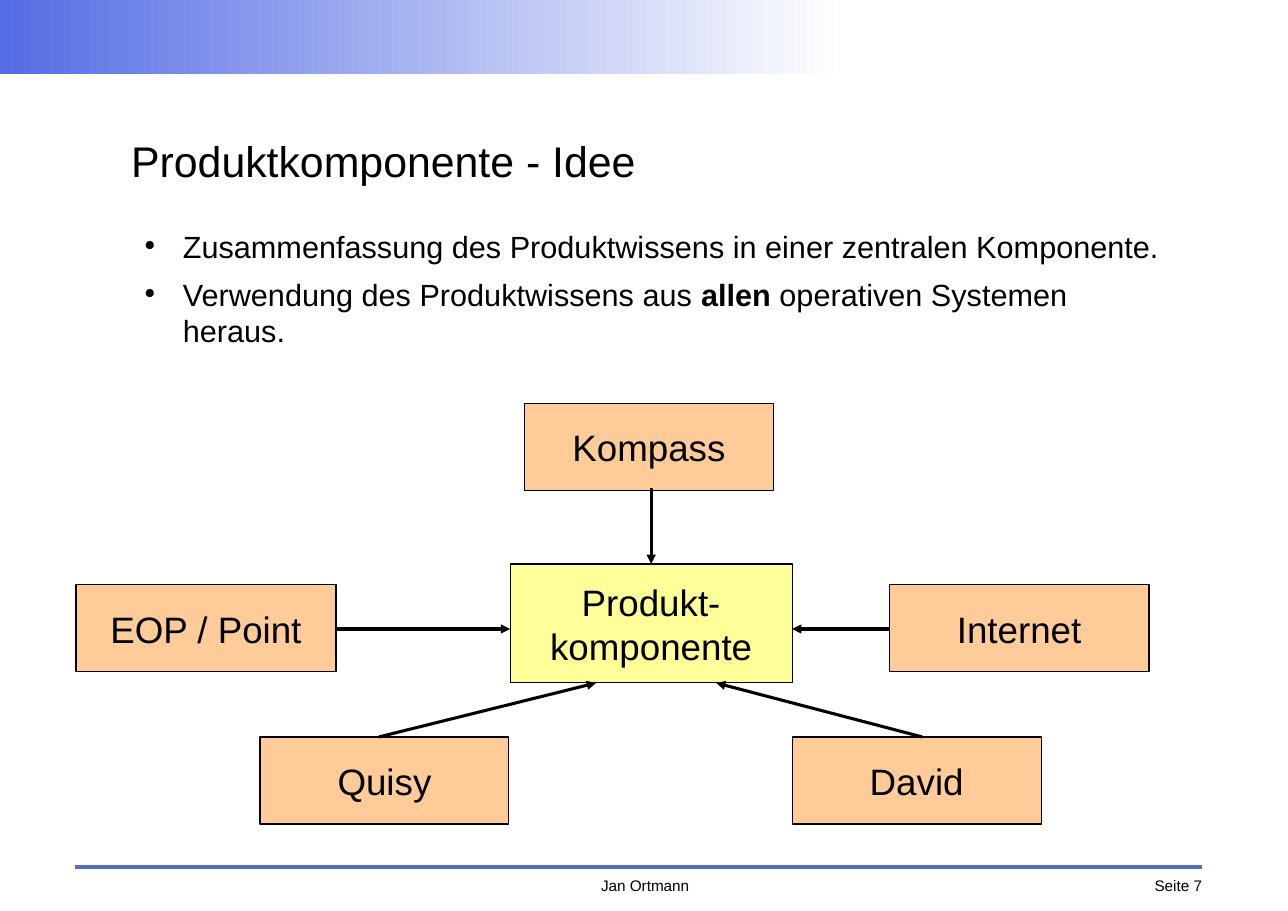
from lxml.etree import SubElement
from pptx import Presentation
from pptx.dml.color import RGBColor
from pptx.enum.shapes import MSO_CONNECTOR, MSO_SHAPE
from pptx.enum.text import MSO_ANCHOR, PP_ALIGN
from pptx.oxml.ns import qn
from pptx.util import Inches, Pt


def color(text):
    return RGBColor.from_string(text)


class Deck:
    """Holds the style and the current slide, and draws each kind of element."""

    font = "Arial"
    ink = "000000"
    blue = "556DE4"
    rule = "576BBF"
    peach = "FFCC99"
    lemon = "FFFF99"

    def __init__(self, wide, high):
        self.show = Presentation()
        self.show.slide_width = Inches(wide)
        self.show.slide_height = Inches(high)
        self.slide = self.show.slides.add_slide(self.show.slide_layouts[6])

    def label(self, frame, lines, size, align, anchor, dots=False):
        frame.word_wrap = True
        frame.vertical_anchor = anchor
        frame.margin_left = frame.margin_right = 0
        frame.margin_top = frame.margin_bottom = 0
        for index, line in enumerate(lines):
            para = frame.paragraphs[0] if index == 0 else frame.add_paragraph()
            para.alignment = align
            if dots:
                self.bullet(para)
            para.font.name = self.font
            para.font.size = Pt(size)
            para.font.color.rgb = color(self.ink)
            for turn, part in enumerate(line.split("*")):
                run = para.add_run()
                run.text = part
                if turn % 2:
                    run.font.bold = True

    def bullet(self, para):
        para.space_after = Pt(7.1)
        props = para._p.get_or_add_pPr()
        props.set("marL", str(Inches(0.47)))
        props.set("indent", str(Inches(-0.35)))
        tint = SubElement(props, qn("a:buClr"))
        SubElement(tint, qn("a:srgbClr"), val=self.ink)
        SubElement(props, qn("a:buSzPct"), val="45000")
        SubElement(props, qn("a:buChar"), char="●")

    def text(self, place, lines, size, align=PP_ALIGN.LEFT,
             anchor=MSO_ANCHOR.TOP, dots=False):
        box = self.slide.shapes.add_textbox(*map(Inches, place))
        self.label(box.text_frame, lines, size, align, anchor, dots)

    def rect(self, place):
        shape = self.slide.shapes.add_shape(MSO_SHAPE.RECTANGLE, *map(Inches, place))
        shape.shadow.inherit = False
        return shape

    def band(self, place):
        shape = self.rect(place)
        shape.line.fill.background()
        shape.fill.gradient()
        shape.fill.gradient_angle = 0
        for stop, tint in zip(shape.fill.gradient_stops, (self.blue, "FFFFFF")):
            stop.color.rgb = color(tint)

    def box(self, place, lines, fill):
        shape = self.rect(place)
        shape.fill.solid()
        shape.fill.fore_color.rgb = color(fill)
        shape.line.color.rgb = color(self.ink)
        shape.line.width = Pt(0)
        self.label(shape.text_frame, lines, 24, PP_ALIGN.CENTER, MSO_ANCHOR.MIDDLE)

    def line(self, ends, tint, width):
        line = self.slide.shapes.add_connector(MSO_CONNECTOR.STRAIGHT, *map(Inches, ends))
        line.line.color.rgb = color(tint)
        line.line.width = Pt(width)
        SubElement(line._element.spPr, qn("a:effectLst"))
        return line

    def arrow(self, ends):
        line = self.line(ends, self.ink, 0)
        stroke = line._element.spPr.find(qn("a:ln"))
        SubElement(stroke, qn("a:tailEnd"), type="triangle")


def main():
    deck = Deck(11.69, 8.27)
    deck.line((0.68, 7.87, 10.91, 7.87), deck.rule, 2.83)
    deck.text((9.78, 7.95, 1.13, 0.19), ["Seite 7"], 10, PP_ALIGN.RIGHT)
    deck.text((5.05, 7.95, 1.61, 0.2), ["Jan Ortmann"], 10, PP_ALIGN.CENTER)
    deck.band((0, 0, 7.67, 0.67))
    deck.text((1.19, 0.95, 9.31, 1.02), ["Produktkomponente - Idee"], 28,
              anchor=MSO_ANCHOR.MIDDLE)
    deck.text((1.19, 2.07, 9.44, 1.2), [
        "Zusammenfassung des Produktwissens in einer zentralen Komponente.",
        "Verwendung des Produktwissens aus *allen* operativen Systemen heraus.",
    ], 20, dots=True)

    deck.box((4.63, 5.12, 2.56, 1.08), ["Produkt-", "komponente"], deck.lemon)
    systems = [
        ("EOP / Point", 0.69, 5.31, 2.36, (3.05, 5.71, 4.63, 5.71)),
        ("Kompass", 4.76, 3.66, 2.26, (5.91, 4.43, 5.91, 5.12)),
        ("Internet", 8.07, 5.31, 2.36, (8.07, 5.71, 7.19, 5.71)),
        ("Quisy", 2.36, 6.69, 2.26, (3.44, 6.69, 5.41, 6.2)),
        ("David", 7.19, 6.69, 2.26, (8.37, 6.69, 6.5, 6.2)),
    ]
    for name, left, top, wide, ends in systems:
        deck.box((left, top, wide, 0.79), [name], deck.peach)
        deck.arrow(ends)
    deck.show.save("out.pptx")


if __name__ == "__main__":
    main()
